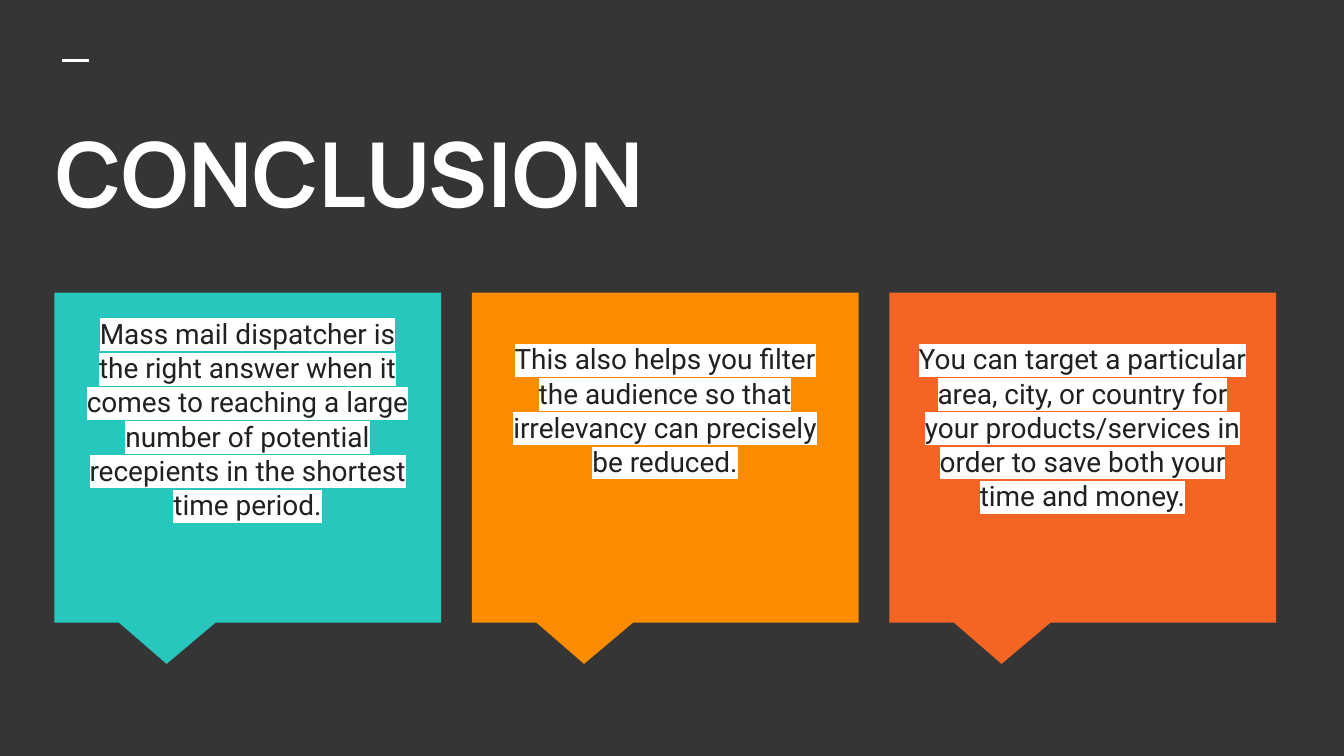
from lxml import etree
from pptx import Presentation
from pptx.dml.color import RGBColor
from pptx.enum.shapes import MSO_CONNECTOR, MSO_SHAPE
from pptx.enum.text import MSO_ANCHOR, MSO_AUTO_SIZE, PP_ALIGN
from pptx.oxml.ns import qn
from pptx.util import Cm, Pt

COLORS = {
    "background": "353535",
    "white": "FFFFFF",
    "ink": "202122",
    "teal": "27C7BD",
    "amber": "FB8C00",
    "orange": "F46524",
}

TITLE = "CONCLUSION"
# Fill, text, top of the text box in cm
CARDS = [
    ("teal", "Mass mail dispatcher is the right answer when it comes to reaching "
             "a large number of potential recepients in the shortest time period.", 5.72),
    ("amber", "This also helps you filter the audience so that irrelevancy can "
              "precisely be reduced.", 6.2),
    ("orange", "You can target a particular area, city, or country for your "
               "products/services in order to save both your time and money.", 6.2),
]

# Card grid in cm
CARD_LEFT, CARD_TOP = 1.03, 5.53
CARD_WIDTH, CARD_HEIGHT = 7.31, 6.24
CARD_STEP = 7.89
TEXT_INSET, TEXT_WIDTH, TEXT_HEIGHT = 0.21, 6.88, 5.56


def color(name):
    return RGBColor.from_string(COLORS[name])


def write_text(shape, text, *, font, size, ink, bold=False, align=PP_ALIGN.LEFT,
               before=0, spacing=1.0, highlight=None):
    frame = shape.text_frame
    frame.word_wrap = True
    frame.auto_size = MSO_AUTO_SIZE.NONE
    frame.vertical_anchor = MSO_ANCHOR.TOP
    frame.margin_left = frame.margin_right = Cm(0.25)
    frame.margin_top = frame.margin_bottom = Cm(0.25)
    paragraph = frame.paragraphs[0]
    paragraph.alignment = align
    paragraph.space_before = Pt(before)
    paragraph.line_spacing = spacing
    run = paragraph.add_run()
    run.text = text
    run.font.name = font
    run.font.size = Pt(size)
    run.font.bold = bold
    run.font.color.rgb = color(ink)
    if highlight:
        mark = etree.Element(qn("a:highlight"))
        etree.SubElement(mark, qn("a:srgbClr"), val=COLORS[highlight])
        run.font._element.find(qn("a:solidFill")).addnext(mark)


presentation = Presentation()
presentation.slide_width, presentation.slide_height = Cm(25.4), Cm(14.29)
slide = presentation.slides.add_slide(presentation.slide_layouts[5])
slide.background.fill.solid()
slide.background.fill.fore_color.rgb = color("background")

# Short rule above the title
rule = slide.shapes.add_connector(MSO_CONNECTOR.STRAIGHT, Cm(1.18), Cm(1.15), Cm(1.69), Cm(1.15))
rule.line.color.rgb = color("white")
rule.line.width = Pt(1.5)
etree.SubElement(rule._element.spPr, qn("a:effectLst"))

# Title
title = slide.shapes.title
title.left, title.top, title.width, title.height = Cm(0.79), Cm(1.98), Cm(23.95), Cm(2.84)
write_text(title, TITLE, font="Manrope", size=48, ink="white", bold=True)

# Callout cards with highlighted text
for index, (fill, text, text_top) in enumerate(CARDS):
    left = CARD_LEFT + index * CARD_STEP
    card = slide.shapes.add_shape(MSO_SHAPE.RECTANGULAR_CALLOUT, Cm(left), Cm(CARD_TOP),
                                  Cm(CARD_WIDTH), Cm(CARD_HEIGHT))
    card.adjustments[0], card.adjustments[1] = -0.21, 0.625
    card.shadow.inherit = False
    card.fill.solid()
    card.fill.fore_color.rgb = color(fill)
    card.line.fill.background()

    box = slide.shapes.add_textbox(Cm(left + TEXT_INSET), Cm(text_top),
                                   Cm(TEXT_WIDTH), Cm(TEXT_HEIGHT))
    write_text(box, text, font="Roboto", size=15, ink="ink", align=PP_ALIGN.CENTER,
               before=5, spacing=1.02, highlight="white")

presentation.save("out.pptx")
